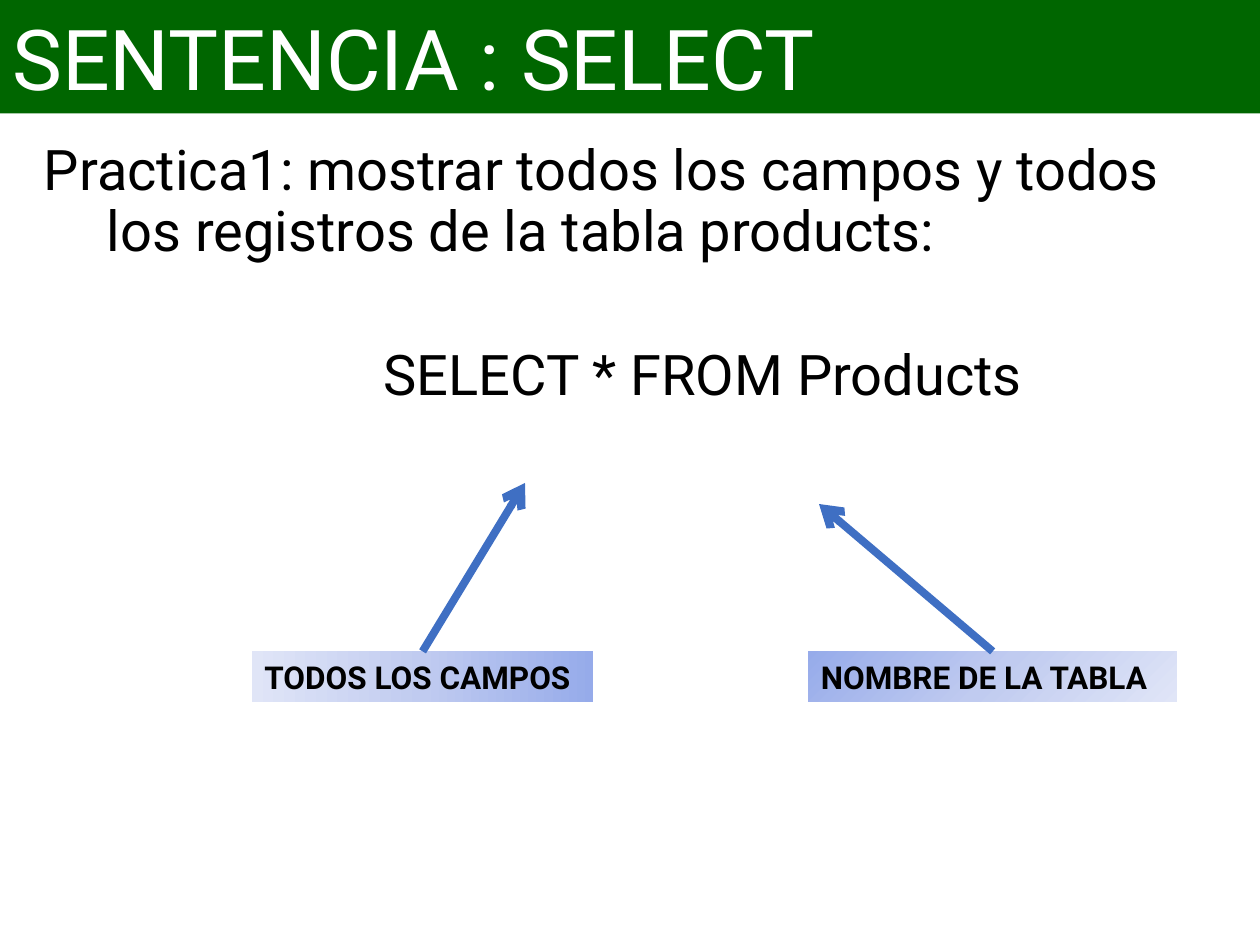
from lxml.etree import SubElement
from pptx import Presentation
from pptx.dml.color import RGBColor
from pptx.enum.shapes import MSO_CONNECTOR, MSO_SHAPE
from pptx.enum.text import MSO_ANCHOR, PP_ALIGN
from pptx.oxml import parse_xml
from pptx.oxml.ns import nsdecls, qn
from pptx.util import Pt

FONT = "Roboto"
GRADIENT_STOPS = [(0, "96ABEA"), (50, "C0CBF0"), (100, "E0E5F7")]
LEFTWARD = '<a:lin ang="10800000" scaled="1"/>'
FROM_CORNER = '<a:path path="circle"><a:fillToRect r="100000" b="100000"/></a:path>'


def color(value):
    return RGBColor.from_string(value)


def format_paragraph(para, size, value, bold=False):
    para.alignment = PP_ALIGN.LEFT
    for span in para.runs:
        span.font.name = FONT
        span.font.size = Pt(size)
        span.font.bold = bold
        span.font.color.rgb = color(value)


def add_rectangle(page, left, top, width, height):
    box = page.shapes.add_shape(MSO_SHAPE.RECTANGLE, Pt(left), Pt(top), Pt(width), Pt(height))
    box.shadow.inherit = False
    box.line.fill.background()
    box.text_frame.vertical_anchor = MSO_ANCHOR.MIDDLE
    return box


def add_title(page, text):
    box = add_rectangle(page, 0, 0, 720, 64.8)
    box.fill.solid()
    box.fill.fore_color.rgb = color("006600")
    box.text_frame.text = text
    format_paragraph(box.text_frame.paragraphs[0], 48, "FFFFFF")


def add_body(page, paragraphs):
    box = page.shapes.add_textbox(Pt(18), Pt(77.76), Pt(666), Pt(426.24))
    frame = box.text_frame
    frame.word_wrap = True
    frame.text = "\n".join(text for text, *_ in paragraphs)
    for para, (_, margin, indent, before) in zip(frame.paragraphs, paragraphs):
        format_paragraph(para, 32, "000000")
        para.line_spacing = 0.9
        para.space_before = Pt(before)
        properties = para._p.get_or_add_pPr()
        properties.set("marL", str(Pt(margin)))
        properties.set("indent", str(Pt(indent)))


def set_gradient(shape, direction):
    shape.fill.background()
    stops = "".join(
        f'<a:gs pos="{position * 1000}"><a:srgbClr val="{value}"/></a:gs>'
        for position, value in GRADIENT_STOPS
    )
    gradient = parse_xml(
        f'<a:gradFill {nsdecls("a")} rotWithShape="1"><a:gsLst>{stops}</a:gsLst>{direction}</a:gradFill>'
    )
    properties = shape._element.spPr
    properties.replace(properties.find(qn("a:noFill")), gradient)


def add_label(page, text, left, width, direction):
    box = add_rectangle(page, left, 372.24, width, 28.8)
    set_gradient(box, direction)
    box.text_frame.word_wrap = False
    box.text_frame.text = text
    format_paragraph(box.text_frame.paragraphs[0], 18, "000000", bold=True)
    return box


def add_arrow(page, label, end_x, end_y):
    arrow = page.shapes.add_connector(MSO_CONNECTOR.STRAIGHT, 0, 0, Pt(end_x), Pt(end_y))
    arrow.begin_connect(label, 0)
    arrow.line.color.rgb = color("3F6FC3")
    arrow.line.width = Pt(4.5)
    SubElement(arrow.line._get_or_add_ln(), qn("a:tailEnd"), type="arrow")
    SubElement(arrow._element.spPr, qn("a:effectLst"))


def main():
    deck = Presentation()
    deck.slide_width, deck.slide_height = Pt(720), Pt(540)
    page = deck.slides.add_slide(deck.slide_layouts[6])
    add_title(page, "SENTENCIA : SELECT")
    add_body(page, [
        ("Practica1: mostrar todos los campos y todos los registros de la tabla products:", 36, -36, 6.4),
        ("SELECT * FROM Products", 194, 0, 48),
    ])
    fields = add_label(page, "TODOS LOS CAMPOS", 144, 195, LEFTWARD)
    add_arrow(page, fields, 300, 276)
    table_name = add_label(page, "NOMBRE DE LA TABLA", 462, 210.5, FROM_CORNER)
    add_arrow(page, table_name, 468, 288)
    deck.save("out.pptx")


if __name__ == "__main__":
    main()
